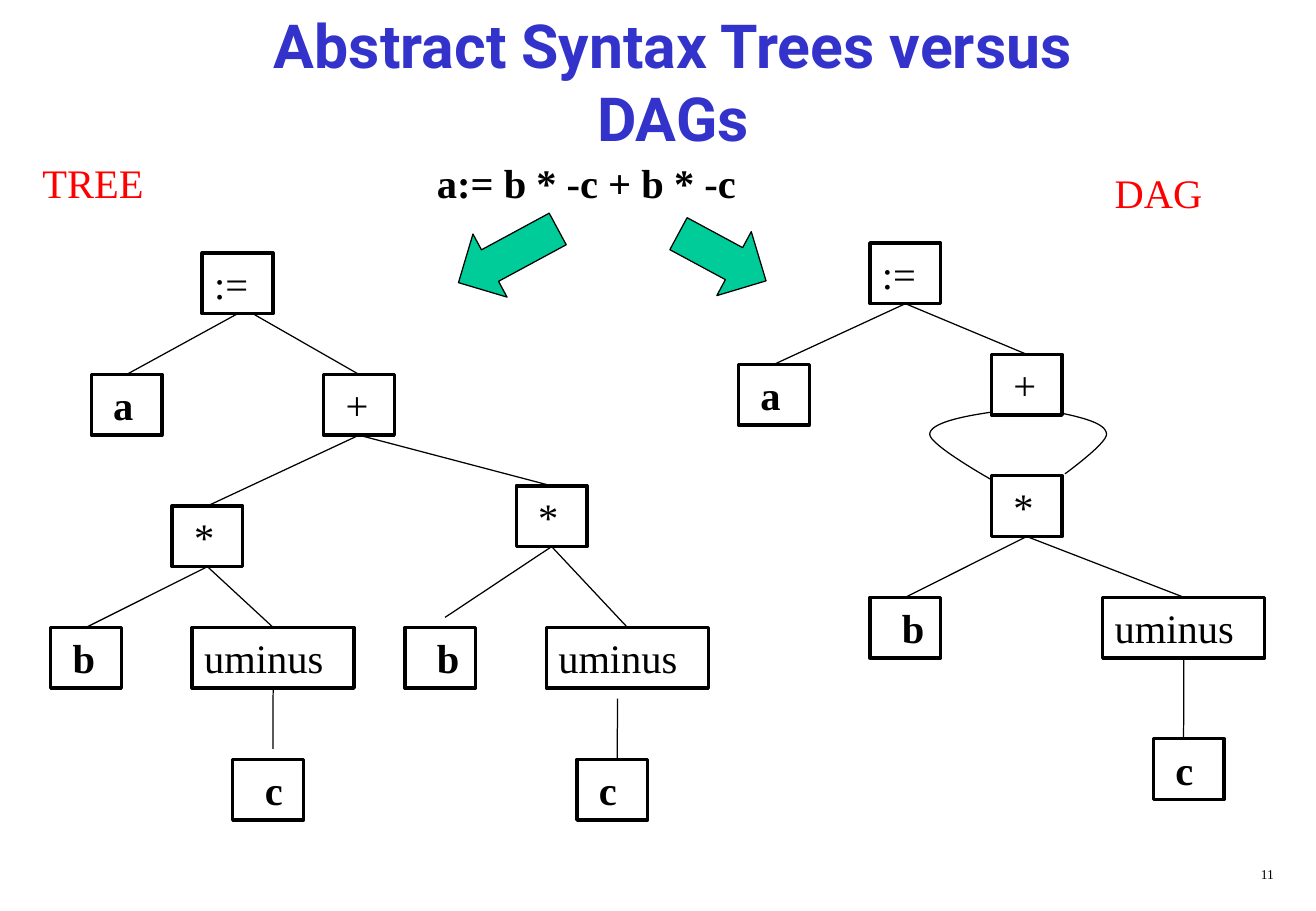
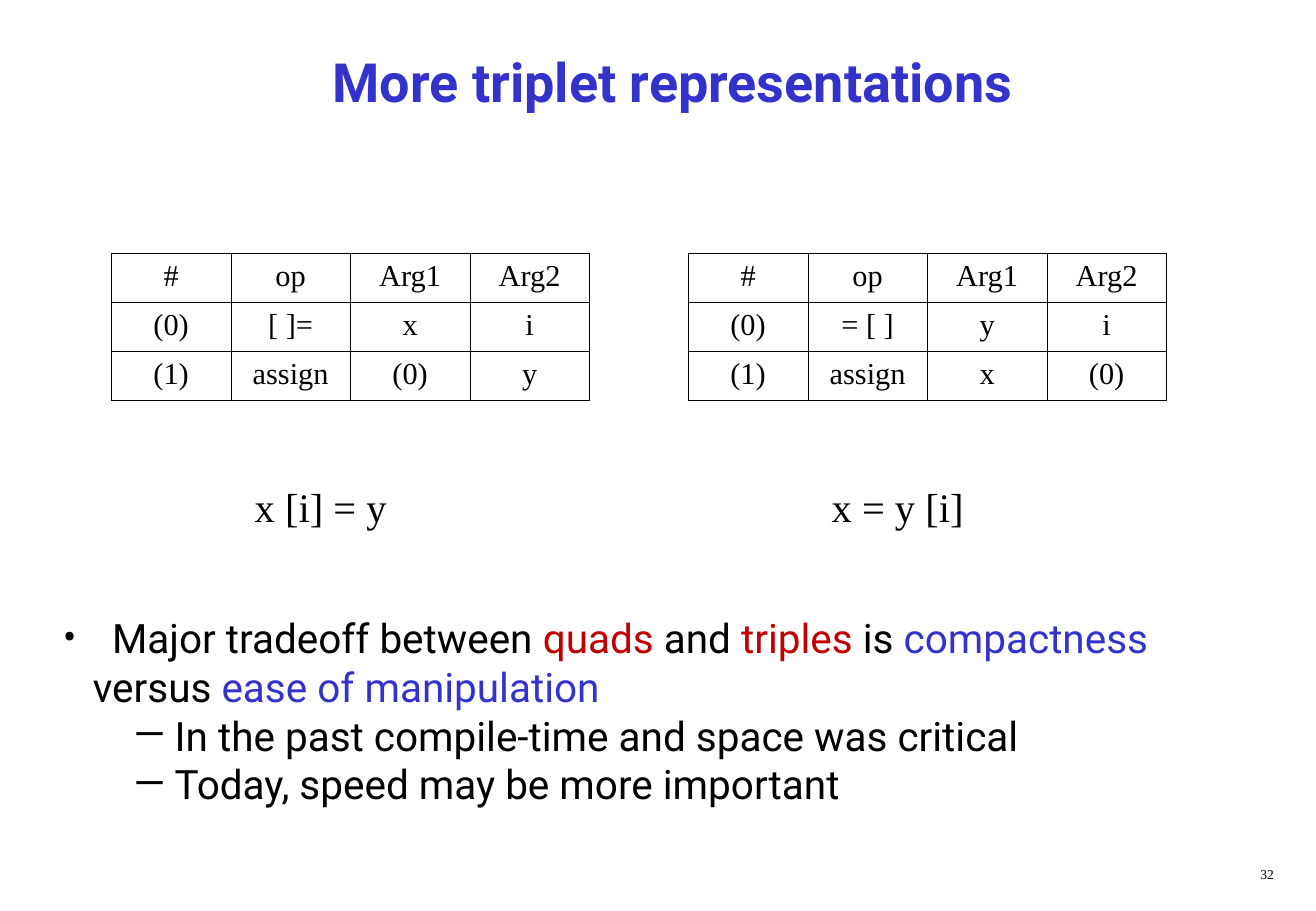
from lxml import etree
from pptx import Presentation
from pptx.dml.color import RGBColor
from pptx.enum import shapes, text
from pptx.oxml import ns
from pptx.util import Cm, Pt

COLORS = {
    "title": "3333CC",
    "ink": "000000",
    "paper": "FFFFFF",
    "label": "FF0000",
    "term": "C00000",
    "arrow": "00CC99",
}
SERIF, SANS = "Times New Roman", "Roboto"
NODE_HEIGHT, NODE_WIDTH, WIDE_NODE = 1.27, 1.48, 3.39
SPACE = 0.21
CURVE_STEPS = 16


def color(name):
    return RGBColor.from_string(COLORS[name])


def style(font, size, name=SERIF, ink="ink", bold=False):
    font.size, font.name, font.bold = Pt(size), name, bold
    font.color.rgb = color(ink)


def outline(shape, width):
    shape.line.color.rgb = color("ink")
    shape.line.width = Pt(width)


def new_slide(prs, layout, heading, size, number):
    slide = prs.slides.add_slide(prs.slide_layouts[layout])
    title = slide.shapes.title
    place(title, 1.06, 0.42, 26.04, 2.54)
    frame = title.text_frame
    frame.auto_size = text.MSO_AUTO_SIZE.NONE
    frame.vertical_anchor = text.MSO_ANCHOR.MIDDLE
    frame.text = heading
    frame.paragraphs[0].alignment = text.PP_ALIGN.CENTER
    style(frame.paragraphs[0].font, size, SANS, "title", True)
    caption(slide, str(number), 21.16, 17.98, 5.74, 0.64, size=8,
            align=text.PP_ALIGN.RIGHT)
    return slide


def place(shape, left, top, width, height):
    shape.left, shape.top = Cm(left), Cm(top)
    shape.width, shape.height = Cm(width), Cm(height)


def caption(slide, words, left, top, width, height=1.27, size=24,
            ink="ink", bold=False, align=text.PP_ALIGN.LEFT):
    box = slide.shapes.add_textbox(Cm(left), Cm(top), Cm(width), Cm(height))
    box.text_frame.word_wrap = True
    paragraph = box.text_frame.paragraphs[0]
    paragraph.text = words
    paragraph.alignment = align
    style(paragraph.font, size, ink=ink, bold=bold)


def node(slide, label, left, top, spaces=1):
    width = WIDE_NODE if label == "uminus" else NODE_WIDTH
    box = slide.shapes.add_shape(shapes.MSO_SHAPE.RECTANGLE, Cm(left), Cm(top),
                                 Cm(width), Cm(NODE_HEIGHT))
    box.shadow.inherit = False
    box.fill.solid()
    box.fill.fore_color.rgb = color("paper")
    outline(box, 2)
    frame = box.text_frame
    frame.word_wrap = True
    frame.vertical_anchor = text.MSO_ANCHOR.TOP
    frame.margin_left = Cm(0.25 + SPACE * spaces)
    frame.margin_right = 0
    paragraph = frame.paragraphs[0]
    paragraph.text = label
    paragraph.alignment = text.PP_ALIGN.LEFT
    style(paragraph.font, 24, bold=label in ("a", "b", "c"))
    return box


def edge(slide, start, end):
    line = slide.shapes.add_connector(shapes.MSO_CONNECTOR.STRAIGHT, 0, 0, 0, 0)
    if isinstance(start, tuple):
        line.begin_x, line.begin_y = map(Cm, start)
    else:
        line.begin_connect(start, 2)
    if isinstance(end, tuple):
        line.end_x, line.end_y = map(Cm, end)
    else:
        line.end_connect(end, 0)
    outline(line, 0.75)
    etree.SubElement(line._element.spPr, ns.qn("a:effectLst"))


def bezier(a, b, c, d):
    for step in range(1, CURVE_STEPS + 1):
        t = step / CURVE_STEPS
        s = 1 - t
        yield tuple(Cm(s**3 * p + 3 * s * s * t * q + 3 * s * t * t * r + t**3 * e)
                    for p, q, r, e in zip(a, b, c, d))


def curved_edge(slide, start, leave, bend_in, bend, bend_out, end):
    points = [*bezier(start, leave, bend_in, bend),
              *bezier(bend, bend_out, end, end)]
    builder = slide.shapes.build_freeform(Cm(start[0]), Cm(start[1]))
    builder.add_line_segments(points, close=False)
    curve = builder.convert_to_shape()
    curve.shadow.inherit = False
    curve.fill.background()
    outline(curve, 0.75)


def block_arrow(slide, left, top, width, height, rotation):
    arrow = slide.shapes.add_shape(shapes.MSO_SHAPE.LEFT_ARROW, Cm(left), Cm(top),
                                   Cm(width), Cm(height))
    arrow.rotation = rotation
    arrow.shadow.inherit = False
    arrow.fill.solid()
    arrow.fill.fore_color.rgb = color("arrow")
    outline(arrow, 0.75)


def cell_borders(cell):
    props = cell._tc.get_or_add_tcPr()
    for position, side in enumerate(("lnL", "lnR", "lnT", "lnB")):
        border = etree.Element(ns.qn(f"a:{side}"), w=str(Pt(0.45)))
        fill = etree.SubElement(border, ns.qn("a:solidFill"))
        etree.SubElement(fill, ns.qn("a:srgbClr"), val=COLORS["ink"])
        props.insert(position, border)


def triples_table(slide, left, rows):
    table = slide.shapes.add_table(len(rows), len(rows[0]), Cm(left), Cm(5.29),
                                   Cm(10), Cm(3.09)).table
    table.first_row = table.horz_banding = False
    for row, values in zip(table.rows, rows):
        row.height = Cm(1.03)
        for cell, value in zip(row.cells, values):
            cell.text = value
            cell.fill.background()
            cell_borders(cell)
            paragraph = cell.text_frame.paragraphs[0]
            paragraph.alignment = text.PP_ALIGN.CENTER
            style(paragraph.font, 18)


def list_line(paragraph, runs, margin, bullet=None, hang=0):
    props = paragraph._p.get_or_add_pPr()
    props.set("marL", str(Cm(margin)))
    props.set("indent", str(-Cm(hang)))
    paragraph.alignment = text.PP_ALIGN.LEFT
    paragraph.space_before = Pt(0)
    if bullet:
        etree.SubElement(props, ns.qn("a:buFont"), typeface=SANS)
        etree.SubElement(props, ns.qn("a:buChar"), char=bullet)
    else:
        etree.SubElement(props, ns.qn("a:buNone"))
    style(paragraph.font, 24, SANS)
    for words, ink in runs:
        run = paragraph.add_run()
        run.text = words
        run.font.color.rgb = color(ink)


def draw_tree(slide):
    assign = node(slide, ":=", 4.23, 5.29, 0)
    target = node(slide, "a", 1.91, 7.83)
    plus = node(slide, "+", 6.77, 7.83)
    left_times = node(slide, "*", 3.6, 10.58)
    right_times = node(slide, "*", 10.8, 10.16)
    left_b = node(slide, "b", 1.06, 13.12)
    left_minus = node(slide, "uminus", 4.02, 13.12, 0)
    node(slide, "c", 4.87, 15.88, 2)
    node(slide, "b", 8.47, 13.12, 2)
    right_minus = node(slide, "uminus", 11.43, 13.12, 0)
    node(slide, "c", 12.07, 15.88)
    for start, end in (
        (assign, target), ((5.29, 6.56), plus),
        (plus, left_times), (plus, right_times),
        (left_times, left_b), (left_times, left_minus),
        (right_times, (9.31, 12.91)), (right_times, right_minus),
        (left_minus, (5.71, 15.66)), ((12.92, 14.61), (12.91, 15.88)),
    ):
        edge(slide, start, end)


def draw_dag(slide):
    assign = node(slide, ":=", 18.2, 5.08, 0)
    target = node(slide, "a", 15.45, 7.62)
    plus = node(slide, "+", 20.74, 7.41)
    times = node(slide, "*", 20.74, 9.95)
    factor = node(slide, "b", 18.2, 12.49, 2)
    minus = node(slide, "uminus", 23.07, 12.49, 0)
    node(slide, "c", 24.13, 15.45)
    for start, end in ((assign, target), (assign, plus), (times, factor),
                       (times, minus), (minus, (24.76, 15.46))):
        edge(slide, start, end)
    curved_edge(slide, (20.74, 8.62), (20.11, 8.71), (19.46, 8.85),
                (19.45, 9.08), (19.44, 9.3), (20.72, 10.02))
    curved_edge(slide, (22.2, 8.64), (22.68, 8.74), (23.14, 8.86),
                (23.15, 9.08), (23.16, 9.27), (22.28, 9.91))


def trees_slide(prs):
    slide = new_slide(prs, 5, "Abstract Syntax Trees versus\vDAGs", 36, 11)
    caption(slide, "a:= b * -c + b * -c", 8.89, 3.18, 9.95, bold=True)
    draw_tree(slide)
    draw_dag(slide)
    block_arrow(slide, 9.45, 4.6, 2.36, 1.5, 331.6)
    block_arrow(slide, 14.07, 4.62, 2.08, 1.52, 208.3)
    caption(slide, "TREE", 0.64, 3.18, 2.96, ink="label")
    caption(slide, "DAG", 23.07, 3.39, 2.96, ink="label")


def triples_slide(prs):
    slide = new_slide(prs, 1, "More triplet representations", 32, 32)
    header = ("#", "op", "Arg1", "Arg2")
    for left, statement, first, second in (
        (2.33, "x [i] = y", ("(0)", "[ ]=", "x", "i"), ("(1)", "assign", "(0)", "y")),
        (14.4, "x = y [i]", ("(0)", "= [ ]", "y", "i"), ("(1)", "assign", "x", "(0)")),
    ):
        triples_table(slide, left, (header, first, second))
        caption(slide, statement, left + 2.75, 9.95, 6)

    body = slide.placeholders[1]
    place(body, 1.06, 12.7, 23.71, 5.33)
    frame = body.text_frame
    frame.auto_size = text.MSO_AUTO_SIZE.NONE
    tradeoff = [("Major tradeoff between ", "ink"), ("quads", "term"),
                (" and ", "ink"), ("triples", "term"), (" is ", "ink"),
                ("compactness", "title")]
    list_line(frame.paragraphs[0], tradeoff, 1.03, "•", 1.03)
    list_line(frame.add_paragraph(),
              [("versus ", "ink"), ("ease of manipulation", "title")], 0.63)
    for remark in ("In the past compile-time and space was critical",
                   "Today, speed may be more important"):
        list_line(frame.add_paragraph(), [(remark, "ink")], 2.34, "—", 0.86)


def main():
    prs = Presentation()
    prs.slide_width, prs.slide_height = Cm(27.53), Cm(19.05)
    trees_slide(prs)
    triples_slide(prs)
    prs.save("out.pptx")


if __name__ == "__main__":
    main()
